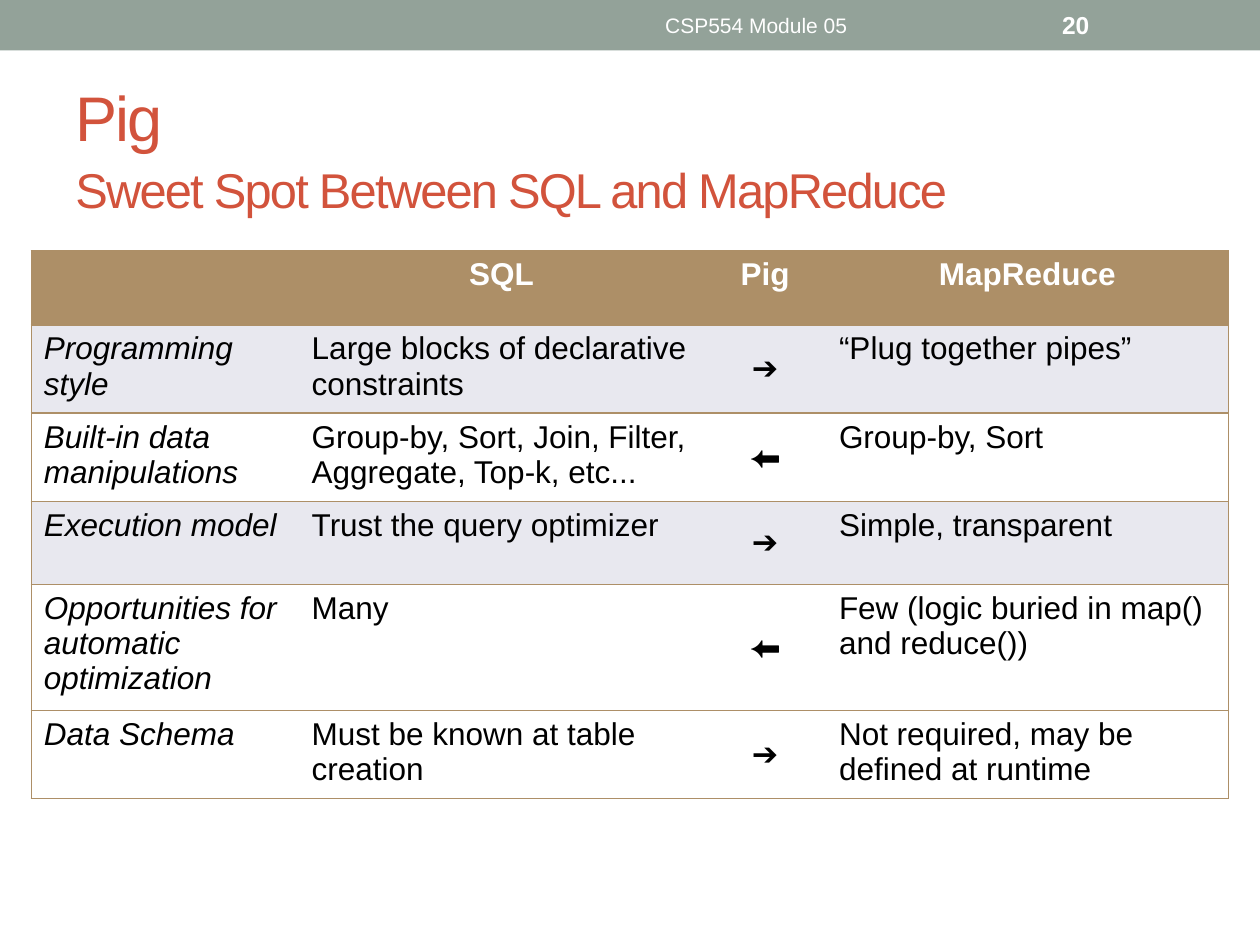
"""Build the slide that compares SQL, Pig and MapReduce."""
import lxml.etree
import pptx
import pptx.dml.color
import pptx.enum.shapes
import pptx.enum.text
import pptx.oxml.ns
import pptx.util

Cm, Pt = pptx.util.Cm, pptx.util.Pt
ALIGN = pptx.enum.text.PP_ALIGN
ANCHOR = pptx.enum.text.MSO_ANCHOR

HEADINGS = ("", "SQL", "Pig", "MapReduce")
COMPARISON = (
    ("Programming style", "Large blocks of declarative constraints", "➔",
     "“Plug together pipes”"),
    ("Built-in data manipulations",
     "Group-by, Sort, Join, Filter, Aggregate, Top-k, etc...", "⬅", "Group-by, Sort"),
    ("Execution model", "Trust the query optimizer", "➔", "Simple, transparent"),
    ("Opportunities for automatic optimization", "Many", "⬅",
     "Few (logic buried in map() and reduce())"),
    ("Data Schema", "Must be known at table creation", "➔",
     "Not required, may be defined at runtime"),
)
COLUMN_WIDTHS = (5.4, 8.16, 2.47, 8.1)
ROW_HEIGHTS = (1.49, 1.67, 1.67, 1.67, 2.4, 1.67)
ROW_FILLS = ("AD8F67", "E8E8EF", "FFFFFF", "E8E8EF", "FFFFFF", "FFFFFF")
PIG = HEADINGS.index("Pig")

TITLE = (("Pig", {"size": Pt(36)}, 0),
         ("Sweet Spot Between SQL and MapReduce", {"size": Pt(27.9)}, 3.5))
BANNER_TEXTS = (
    ("CSP554 Module 05", 9.53, 11.43, ALIGN.CENTER, {"size": Pt(12)}),
    ("20", 21.16, 2.97, ALIGN.LEFT, {"size": Pt(14), "bold": True}),
)


def rgb(value):
    return pptx.dml.color.RGBColor.from_string(value)


def paint(fill, color):
    fill.solid()
    fill.fore_color.rgb = rgb(color)


def write(paragraph, text, color, align, font):
    paragraph.alignment = align
    run = paragraph.add_run()
    run.text = text
    run.font.color.rgb = rgb(color)
    for attribute, value in {"name": "Arial", **font}.items():
        setattr(run.font, attribute, value)
    return run


def text_frame(slide, left, top, width, height):
    frame = slide.shapes.add_textbox(Cm(left), Cm(top), Cm(width), Cm(height)).text_frame
    frame.word_wrap = True
    frame.vertical_anchor = ANCHOR.MIDDLE
    return frame


def draw_borders(cell, colors):
    properties = cell._tc.get_or_add_tcPr()
    qn = pptx.oxml.ns.qn
    for position, (side, color) in enumerate(colors.items()):
        line = lxml.etree.Element(qn(f"a:ln{side}"), w=str(Pt(1)))
        if color:
            paint_node = lxml.etree.SubElement(line, qn("a:solidFill"))
            lxml.etree.SubElement(paint_node, qn("a:srgbClr"), val=color)
        else:
            lxml.etree.SubElement(line, qn("a:noFill"))
        properties.insert(position, line)


def add_banner(slide):
    banner = slide.shapes.add_shape(
        pptx.enum.shapes.MSO_SHAPE.RECTANGLE, 0, 0, Cm(25.4), Cm(1.02))
    banner.shadow.inherit = False
    banner.line.fill.background()
    paint(banner.fill, "93A299")
    for text, left, width, align, font in BANNER_TEXTS:
        frame = text_frame(slide, left, 0.05, width, 0.91)
        write(frame.paragraphs[0], text, "FFFFFF", align, font)


def add_title(slide):
    frame = text_frame(slide, 1.27, 1.62, 22.86, 2.74)
    for index, (text, font, gap) in enumerate(TITLE):
        paragraph = frame.add_paragraph() if index else frame.paragraphs[0]
        paragraph.space_before = Pt(gap)
        run = write(paragraph, text, "D2533C", ALIGN.LEFT, font)
        run._r.get_or_add_rPr().set("spc", "-100")


def add_comparison(slide):
    rows = (HEADINGS, *COMPARISON)
    table = slide.shapes.add_table(
        len(rows), len(HEADINGS), Cm(0.63), Cm(5.06),
        Cm(sum(COLUMN_WIDTHS)), Cm(sum(ROW_HEIGHTS))).table
    table.horz_banding = False
    for column, width in zip(table.columns, COLUMN_WIDTHS):
        column.width = Cm(width)
    for r, texts in enumerate(rows):
        table.rows[r].height = Cm(ROW_HEIGHTS[r])
        heading = r == 0
        for c, text in enumerate(texts):
            cell = table.cell(r, c)
            paint(cell.fill, ROW_FILLS[r])
            centred = heading or c == PIG
            cell.vertical_anchor = ANCHOR.MIDDLE if c == PIG and not heading else ANCHOR.TOP
            write(cell.text_frame.paragraphs[0], text, "FFFFFF" if heading else "000000",
                  ALIGN.CENTER if centred else ALIGN.LEFT,
                  {"size": Pt(18), "bold": heading, "italic": c == 0 and not heading})
            draw_borders(cell, {
                "L": "AD8F67" if c == 0 else None,
                "R": "AD8F67" if c == len(texts) - 1 else None,
                "T": "AD8F67", "B": "AD8F67"})


def main():
    deck = pptx.Presentation()
    deck.slide_width, deck.slide_height = Cm(25.4), Cm(19.05)
    slide = deck.slides.add_slide(deck.slide_layouts[6])
    paint(slide.background.fill, "FFFFFF")
    add_banner(slide)
    add_title(slide)
    add_comparison(slide)
    deck.save("out.pptx")


if __name__ == "__main__":
    main()
